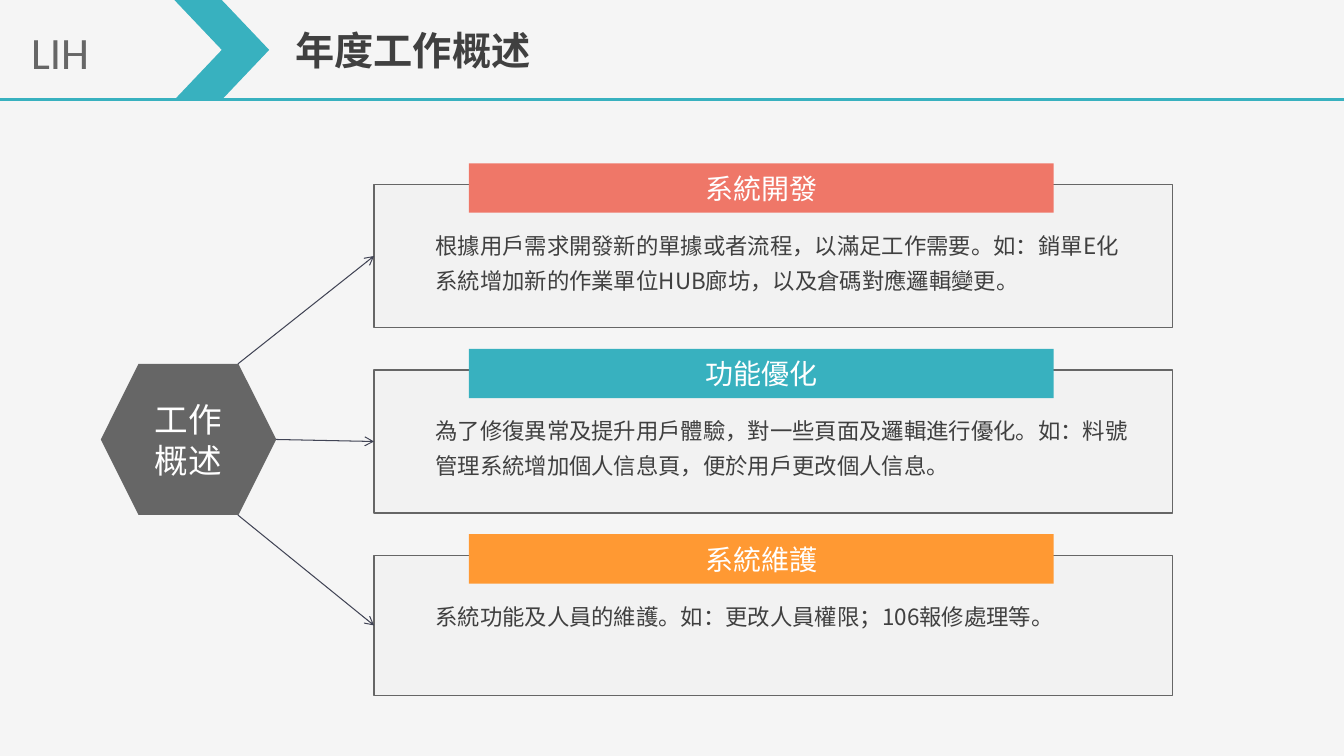
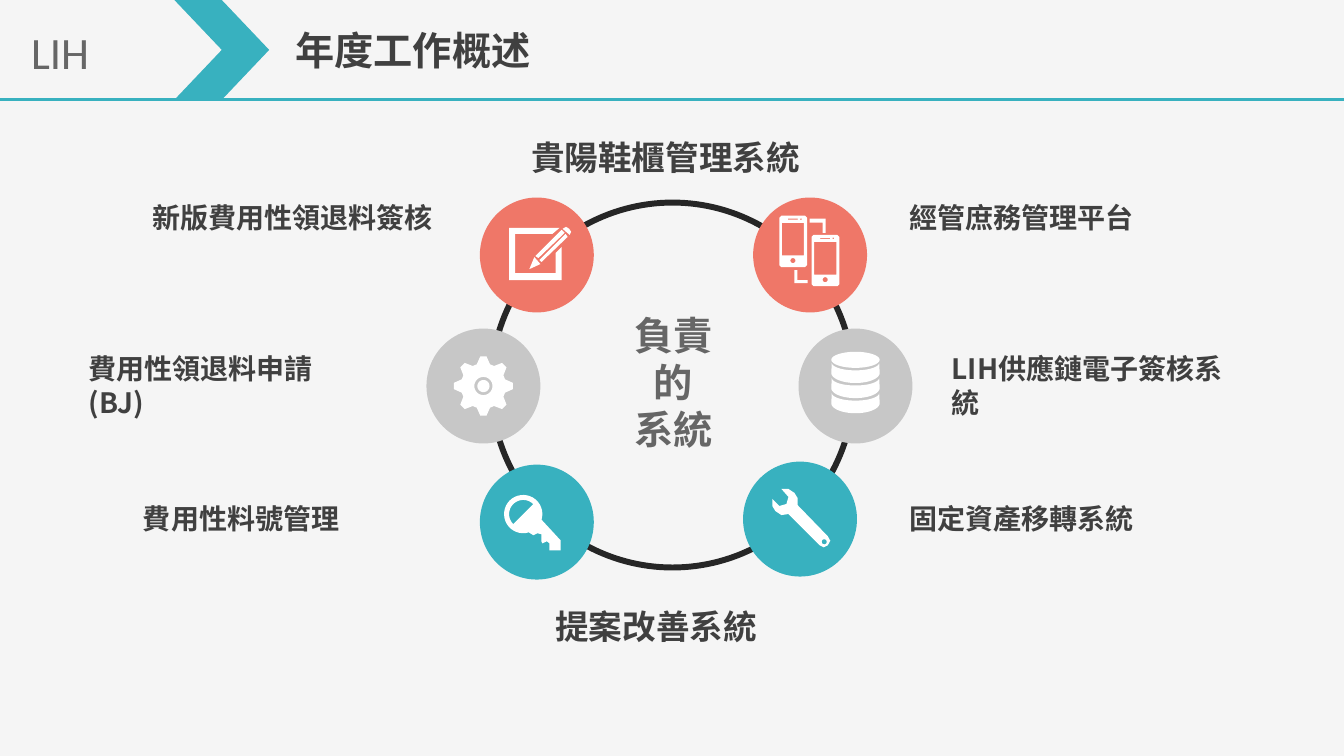
"""Build two annual work overview slides on a grid of tenth-inch cells."""
from dataclasses import dataclass
from math import cos, radians, sin

from lxml.etree import SubElement
from pptx import Presentation
from pptx.dml.color import RGBColor as Rgb
from pptx.enum.shapes import MSO_CONNECTOR as Link, MSO_SHAPE as Preset
from pptx.enum.text import MSO_ANCHOR as Anchor, PP_ALIGN as Align
from pptx.oxml.ns import qn
from pptx.util import Emu, Inches, Pt

Point = tuple[float, float]
Contour = list[Point]
Piece = list[Contour]


@dataclass(frozen=True)
class Theme:
    """Colours, fonts and type sizes shared by the slides."""
    paper: str = "F5F5F5"
    panel: str = "F2F2F2"
    white: str = "FFFFFF"
    ink: str = "404040"
    gray: str = "666666"
    silver: str = "C7C7C7"
    ring: str = "262626"
    arrow: str = "414455"
    teal: str = "38B1BF"
    coral: str = "EF7768"
    orange: str = "FF9933"
    cjk: str = "Noto Sans CJK SC"
    latin: str = "Calibri"
    brand_size: int = 32
    title_size: int = 28
    heading_size: int = 24
    label_size: int = 20
    body_size: int = 16


@dataclass(frozen=True)
class Box:
    """A rectangle in grid cells."""
    col: float
    row: float
    cols: float
    rows: float

    def emu(self) -> tuple[Emu, Emu, Emu, Emu]:
        """Return left, top, width and height as lengths."""
        return cells(self.col), cells(self.row), cells(self.cols), cells(self.rows)


@dataclass(frozen=True)
class Topic:
    """A framed description under a coloured heading."""
    heading: str
    body: str
    color: str
    rows: float


@dataclass(frozen=True)
class Badge:
    """A coloured disc carrying a white icon."""
    center: Point
    color: str
    icon: list[Piece]


@dataclass(frozen=True)
class Label:
    """A bold caption with its box and type size."""
    text: str
    box: Box
    size: int


THEME = Theme()
BRAND = "LIH"
TITLE = "年度工作概述"
WIDTH, HEADER = 133.33, 9.9

TOPICS = [
    Topic("系統開發", "根據用戶需求開發新的單據或者流程，以滿足工作需要。如：銷單E化系統增加新的作業單位HUB廊坊，以及倉碼對應邏輯變更。", THEME.coral, 14.2),
    Topic("功能優化", "為了修復異常及提升用戶體驗，對一些頁面及邏輯進行優化。如：料號管理系統增加個人信息頁，便於用戶更改個人信息。", THEME.teal, 14.2),
    Topic("系統維護", "系統功能及人員的維護。如：更改人員權限；106報修處理等。", THEME.orange, 13.9),
]

LABELS = [
    Label("新版費用性領退料簽核", Box(14.1, 19.4, 31, 4.4), THEME.label_size),
    Label("費用性領退料申請(BJ)", Box(7.8, 34.4, 26, 4.4), THEME.label_size),
    Label("費用性料號管理", Box(13.2, 49.3, 23, 4.4), THEME.label_size),
    Label("經管庶務管理平台", Box(89.2, 19.4, 26, 4.4), THEME.label_size),
    Label(f"{BRAND}供應鏈電子簽核系統", Box(93.4, 34.4, 30, 4.4), THEME.label_size),
    Label("固定資產移轉系統", Box(89.2, 49.3, 26, 4.4), THEME.label_size),
    Label("提案改善系統", Box(54.1, 59.6, 24, 5), THEME.heading_size),
    Label("貴陽鞋櫃管理系統", Box(51.7, 13.1, 31, 5), THEME.heading_size),
]


def cells(count: float) -> Emu:
    """Convert grid cells to a length."""
    return Inches(count / 10)


def arc(center: Point, radii: Point, start: float, end: float) -> Contour:
    """Return points along an elliptical arc, angles in degrees."""
    steps = 32
    angles = [radians(start + (end - start) * i / steps) for i in range(steps + 1)]
    return [(center[0] + radii[0] * cos(a), center[1] + radii[1] * sin(a)) for a in angles]


def circle(center: Point, radius: float) -> Contour:
    """Return a full circle."""
    return arc(center, (radius, radius), 0, 360)


def rectangle(col: float, row: float, cols: float, rows: float, cut: float = 0) -> Contour:
    """Return a rectangle with its corners cut off."""
    right, bottom = col + cols, row + rows
    return [(col + cut, row), (right - cut, row), (right, row + cut), (right, bottom - cut),
            (right - cut, bottom), (col + cut, bottom), (col, bottom - cut), (col, row + cut)]


def edit_icon() -> list[Piece]:
    """Return an open frame and a pencil."""
    frame = [(1.85, 1.8), (-2.15, 1.8), (-2.15, -2.1), (1.55, -2.1), (2.25, -2.7),
             (-2.75, -2.7), (-2.75, 2.5), (2.45, 2.5), (2.45, -0.8), (1.85, -0.2)]
    tip = [(0.35, 0.9), (-0.25, 0.2), (-0.75, 1.4)]
    upper = [(2.45, -2.5), (-0.15, 0.1), (0.15, 0.3), (2.75, -2.2)]
    lower = [(0.25, 0.5), (0.45, 0.7), (3.05, -1.8), (2.85, -2.1)]
    eraser = [(2.55, -2.6), (2.9, -2.8), (3.2, -2.6), (3.4, -2.3), (3.25, -2)]
    return [[part] for part in (frame, tip, upper, lower, eraser)]


def gear_icon() -> list[Piece]:
    """Return an eight-toothed gear with a hub."""
    tooth = [(-17, 2.25), (-6, 2.95), (6, 2.95), (17, 2.25)]
    rim = [(r * cos(radians(45 * k + a)), r * sin(radians(45 * k + a)))
           for k in range(8) for a, r in tooth]
    return [[rim, circle((0, 0), 0.9)], [circle((0, 0), 0.6)]]


def database_icon() -> list[Piece]:
    """Return a lid and three curved bands."""
    bands = [[arc((0, row), (2.35, 0.75), 0, 180) + arc((0, row + 1), (2.4, 1), 180, 0)]
             for row in (-2.3 + 1.5 * i for i in range(3))]
    return [[arc((0, -2.6), (2.4, 0.8), 0, 360)], *bands]


def key_icon() -> list[Piece]:
    """Return a key with a half-round hole."""
    bow = (-1.35, -0.8)
    blade = [(-0.35, 1.3), (0.05, 1.1), (0.45, 1.2), (0.45, 1.9), (0.55, 2.1), (1, 1.9),
             (1.25, 2.1), (1.25, 2.8), (2.35, 2.8), (2.35, 1.8)]
    return [[blade + arc(bow, (1.9, 1.9), 17, -287), arc(bow, (1.4, 1.4), 135, 315)]]


def wrench_icon() -> list[Piece]:
    """Return a wrench with a hole in its handle."""
    outline = [(-0.25, -1.4), (-0.25, -2.1), (-0.55, -2.6), (-1.15, -3), (-1.85, -3),
               (-1.15, -2.2), (-1.35, -1.5), (-2.05, -1.3), (-2.75, -2), (-2.75, -1.3),
               (-2.45, -0.8), (-1.85, -0.4), (-1.15, -0.5), (1.95, 2.6), (2.35, 2.8),
               (2.75, 2.6), (3, 2.15), (2.75, 1.7)]
    return [[outline, circle((2.4, 2.25), 0.25)]]


def phone(col: float, row: float) -> Piece:
    """Return a phone with screen, button, speaker and camera holes."""
    return [rectangle(col, row, 2.75, 5.1, 0.2), rectangle(col + 0.25, row + 0.7, 2.2, 3.25),
            circle((col + 1.35, row + 4.45), 0.25), rectangle(col + 0.85, row + 0.3, 1, 0.1),
            circle((col + 2.15, row + 0.35), 0.08)]


def phones_icon() -> list[Piece]:
    """Return two linked phones."""
    upper = [(1.25, -2.2), (1.55, -2.2), (1.55, -3.6), (-0.05, -3.6), (-0.05, -3.2), (1.25, -3.2)]
    lower = [(-1.25, 1.5), (-1.55, 1.5), (-1.55, 2.8), (-0.25, 2.8), (-0.25, 2.5), (-1.25, 2.5)]
    return [phone(-3.05, -3.9), phone(0.15, -2), [upper], [lower]]


BADGES = [
    Badge((53.25, 25.3), THEME.coral, edit_icon()),
    Badge((47.95, 38.3), THEME.silver, gear_icon()),
    Badge((84.85, 38.3), THEME.silver, database_icon()),
    Badge((53.25, 51.8), THEME.teal, key_icon()),
    Badge((79.35, 51.5), THEME.teal, wrench_icon()),
    Badge((80.35, 25.3), THEME.coral, phones_icon()),
]


def write(frame, text: str, size: int, color: str, bold: bool = False,
          align: Align = Align.LEFT, spacing: float = 1.0, face: str = THEME.cjk) -> None:
    """Fill a text frame with evenly formatted paragraphs."""
    frame.word_wrap = True
    frame.text = text
    for paragraph in frame.paragraphs:
        paragraph.alignment = align
        paragraph.line_spacing = spacing
        font = paragraph.font
        font.size, font.bold, font.name = Pt(size), bold, face
        font.color.rgb = Rgb.from_string(color)
        defaults = paragraph._p.pPr.find(qn("a:defRPr"))
        SubElement(defaults, qn("a:ea")).set("typeface", face)


def paint(shape, fill: str | None, line: str | None = None, width: float = 1):
    """Set fill and outline and drop the shadow."""
    shape.shadow.inherit = False
    if fill:
        shape.fill.solid()
        shape.fill.fore_color.rgb = Rgb.from_string(fill)
    else:
        shape.fill.background()
    if line:
        shape.line.color.rgb = Rgb.from_string(line)
        shape.line.width = Pt(width)
    else:
        shape.line.fill.background()
    return shape


def add_text(slide, box: Box, text: str, size: int, color: str, **style) -> None:
    """Add a text box."""
    write(slide.shapes.add_textbox(*box.emu()).text_frame, text, size, color, **style)


def add_filled(slide, preset: Preset, box: Box, fill: str, text: str, size: int):
    """Add a filled shape with centred white text."""
    shape = paint(slide.shapes.add_shape(preset, *box.emu()), fill)
    shape.text_frame.vertical_anchor = Anchor.MIDDLE
    write(shape.text_frame, text, size, THEME.white, align=Align.CENTER)
    return shape


def add_line(slide, start: Point, end: Point, color: str, width: float, arrow: bool = False):
    """Add a straight line, with an open arrowhead if asked."""
    line = slide.shapes.add_connector(Link.STRAIGHT, *map(cells, start + end))
    line.line.color.rgb = Rgb.from_string(color)
    line.line.width = Pt(width)
    properties = line.element.spPr
    if arrow:
        SubElement(properties.find(qn("a:ln")), qn("a:tailEnd")).set("type", "arrow")
    SubElement(properties, qn("a:effectLst"))
    return line


def add_badge(slide, badge: Badge) -> None:
    """Add a disc and its icon as one group."""
    col, row = badge.center
    shapes = slide.shapes.add_group_shape().shapes
    disc = Box(col - 5.65, row - 5.7, 11.3, 11.4)
    paint(shapes.add_shape(Preset.OVAL, *disc.emu()), badge.color)
    for piece in badge.icon:
        contours = [[(cells(col + x), cells(row + y)) for x, y in part] for part in piece]
        builder = shapes.build_freeform(*contours[0][0])
        builder.add_line_segments(contours[0][1:])
        for hole in contours[1:]:
            builder.move_to(*hole[0])
            builder.add_line_segments(hole[1:])
        paint(builder.convert_to_shape(), THEME.white)


def prepare_layout(deck, layout) -> None:
    """Set the background and title place of the layout."""
    background = deck.slide_master.background.fill
    background.solid()
    background.fore_color.rgb = Rgb.from_string(THEME.paper)
    for holder in list(layout.placeholders)[1:]:
        layout.shapes.element.remove(holder.element)
    title = layout.placeholders[0]
    title.left, title.top, title.width, title.height = Box(28.3, 2.1, 44.6, 5.7).emu()


def decorate_layout(slide) -> None:
    """Draw the header band and hand it to the slide's layout."""
    rule = add_line(slide, (0, HEADER), (WIDTH, HEADER), THEME.teal, 2.25)
    chevron = slide.shapes.add_shape(Preset.CHEVRON, *Box(17.3, 0, 9.4, HEADER).emu())
    for part in (rule, paint(chevron, THEME.teal)):
        slide.slide_layout.shapes.element.append(part.element)


def add_page(deck, layout):
    """Add a slide with its title and brand."""
    slide = deck.slides.add_slide(layout)
    write(slide.shapes.title.text_frame, TITLE, THEME.title_size, THEME.ink, bold=True)
    add_text(slide, Box(2.1, 2, 12, 6.4), BRAND, THEME.brand_size, THEME.gray, face=THEME.latin)
    return slide


def fill_topics(slide) -> None:
    """Draw the hub and the three topics it leads to."""
    add_filled(slide, Preset.HEXAGON, Box(10, 36.1, 17.4, 15), THEME.gray, "工作\n概述", THEME.heading_size)
    starts = [(23.6, 36.1), (27.4, 43.6), (23.6, 51.1)]
    for index, (topic, start) in enumerate(zip(TOPICS, starts)):
        row = 18.3 + 18.4 * index
        panel = slide.shapes.add_shape(Preset.RECTANGLE, *Box(37.1, row, 79.2, topic.rows).emu())
        paint(panel, THEME.panel, THEME.gray)
        add_filled(slide, Preset.RECTANGLE, Box(46.5, row - 2.1, 58, 4.9), topic.color, topic.heading, THEME.label_size)
        add_text(slide, Box(42.2, row + 3.4, 71.1, 7.7), topic.body, THEME.body_size, THEME.ink, spacing=1.3)
        arrow = add_line(slide, start, (37.1, row + topic.rows / 2), THEME.arrow, 0.75, arrow=True)
        arrow.end_connect(panel, 1)


def fill_systems(slide) -> None:
    """Draw the ring of systems with badges and captions."""
    ring = slide.shapes.add_shape(Preset.OVAL, *Box(48.7, 20.1, 36, 36.2).emu())
    paint(ring, None, THEME.ring, 4.25)
    for badge in BADGES:
        add_badge(slide, badge)
    for label in LABELS:
        add_text(slide, label.box, label.text, label.size, THEME.ink, bold=True)
    add_text(slide, Box(61.7, 30.4, 10.2, 15.1), "負責\n的\n系統", THEME.title_size, THEME.gray, bold=True, align=Align.CENTER)


def main() -> None:
    """Build and save the deck."""
    deck = Presentation()
    deck.slide_width, deck.slide_height = Inches(13.33), Inches(7.5)
    layout = deck.slide_layouts[5]
    prepare_layout(deck, layout)
    topics, systems = (add_page(deck, layout) for _ in range(2))
    decorate_layout(topics)
    fill_topics(topics)
    fill_systems(systems)
    deck.save("out.pptx")


if __name__ == "__main__":
    main()
